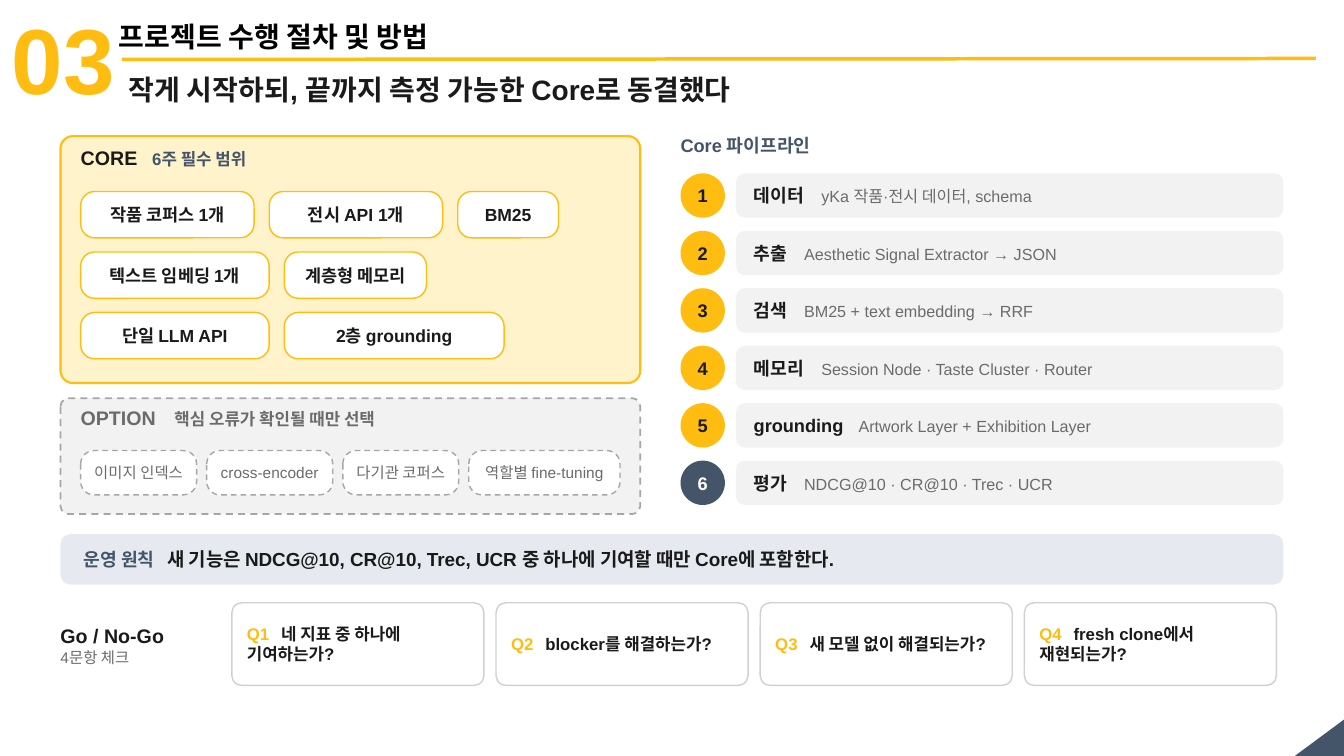
from dataclasses import dataclass

from lxml import etree
from pptx import Presentation
from pptx.dml.color import RGBColor
from pptx.enum import dml, shapes, text
from pptx.oxml import ns
from pptx.util import Inches, Pt


@dataclass(frozen=True)
class Theme:
    font: str = "Arial"
    # Colours
    gold: str = "FFBD11"
    cream: str = "FFF3CC"
    navy: str = "445569"
    mist: str = "E6EAF0"
    ink: str = "1A1A1A"
    black: str = "000000"
    white: str = "FFFFFF"
    gray: str = "6B6B6B"
    pale: str = "F2F2F2"
    dash: str = "A6A6A6"
    edge: str = "D0D0D0"
    # Type sizes
    number: float = 66
    title: float = 20
    heading: float = 14
    principle: float = 13.5
    label: float = 13
    chip: float = 12.5
    note: float = 12
    detail: float = 11.5
    small: float = 11


THEME = Theme()
ROUND = shapes.MSO_SHAPE.ROUNDED_RECTANGLE
LEFT, CENTER = text.PP_ALIGN.LEFT, text.PP_ALIGN.CENTER
TOP, MIDDLE = text.MSO_ANCHOR.TOP, text.MSO_ANCHOR.MIDDLE

CORE_ROWS = [
    [("작품 코퍼스 1개", 1.72), ("전시 API 1개", 1.72), ("BM25", 1)],
    [("텍스트 임베딩 1개", 1.87), ("계층형 메모리", 1.41)],
    [("단일 LLM API", 1.87), ("2층 grounding", 2.18)],
]
OPTIONS = [("이미지 인덱스", 1.15), ("cross-encoder", 1.25),
           ("다기관 코퍼스", 1.15), ("역할별 fine-tuning", 1.5)]
# Step name, detail, tab position of the detail
STEPS = [
    ("데이터", "yKa 작품·전시 데이터, schema", 0.67),
    ("추출", "Aesthetic Signal Extractor → JSON", 0.5),
    ("검색", "BM25 + text embedding → RRF", 0.5),
    ("메모리", "Session Node · Taste Cluster · Router", 0.67),
    ("grounding", "Artwork Layer + Exhibition Layer", 1.04),
    ("평가", "NDCG@10 · CR@10 · Trec · UCR", 0.5),
]
QUESTIONS = ["네 지표 중 하나에 기여하는가?", "blocker를 해결하는가?",
             "새 모델 없이 해결되는가?", "fresh clone에서 재현되는가?"]


def rgb(color):
    return RGBColor.from_string(color)


def set_text(box, paras, align=LEFT, anchor=MIDDLE, inset=(0, 0.03), tab=None):
    """Fill a box; each paragraph is a list of (words, size, colour, bold)."""
    frame = box.text_frame
    frame.word_wrap = True
    frame.vertical_anchor = anchor
    frame.margin_left = frame.margin_right = Inches(inset[0])
    frame.margin_top = frame.margin_bottom = Inches(inset[1])
    for index, spans in enumerate(paras):
        para = frame.add_paragraph() if index else frame.paragraphs[0]
        para.alignment = align
        if tab:
            stops = etree.SubElement(para._p.get_or_add_pPr(), ns.qn("a:tabLst"))
            etree.SubElement(stops, ns.qn("a:tab"), pos=str(Inches(tab)), algn="l")
        for words, size, color, bold in spans:
            span = para.add_run()
            span.text = words
            span.font.name = THEME.font
            span.font.size = Pt(size)
            span.font.bold = bold
            span.font.color.rgb = rgb(color)


def add_label(page, at, paras, **layout):
    box = page.shapes.add_textbox(*map(Inches, at))
    set_text(box, paras, **layout)


def add_block(page, kind, at, fill, line=None, width=1, dashed=False, corner=None):
    block = page.shapes.add_shape(kind, *map(Inches, at))
    block.shadow.inherit = False
    block.fill.solid()
    block.fill.fore_color.rgb = rgb(fill)
    if corner is not None:
        block.adjustments[0] = corner
    if line:
        block.line.color.rgb = rgb(line)
        block.line.width = Pt(width)
        if dashed:
            block.line.dash_style = dml.MSO_LINE.DASH
    else:
        block.line.fill.background()
    return block


def add_chips(page, chips, top, height, gap, line, size, color, bold, dashed=False):
    left = 0.8
    for words, width in chips:
        chip = add_block(page, ROUND, (left, top, width, height), THEME.white,
                         line, dashed=dashed, corner=0.3)
        set_text(chip, [[(words, size, color, bold)]], CENTER, inset=(0.04, 0.03))
        left += width + gap


def add_header(page):
    t = THEME
    corner = add_block(page, shapes.MSO_SHAPE.RIGHT_TRIANGLE,
                       (12.9, 7.07, 0.37, 0.5), t.navy)
    corner.rotation = 270
    layout = {"anchor": TOP, "inset": (0.1, 0.05)}
    add_label(page, (0.02, -0.03, 1.27, 1.21),
              [[("03", t.number, t.gold, True)]], **layout)
    add_label(page, (1.08, 0.14, 7, 0.44),
              [[("프로젝트 수행 절차 및 방법", t.title, t.black, True)]], **layout)
    rule = page.shapes.add_connector(shapes.MSO_CONNECTOR.STRAIGHT, Inches(1.21),
                                     Inches(0.59), Inches(13.05), Inches(0.58))
    rule.line.color.rgb = rgb(t.gold)
    rule.line.width = Pt(2.5)
    etree.SubElement(rule._element.spPr, ns.qn("a:effectLst"))
    add_label(page, (1.18, 0.67, 11.9, 0.34),
              [[("작게 시작하되, 끝까지 측정 가능한 Core로 동결했다", t.title, t.ink, True)]],
              **layout)


def add_scope(page):
    t = THEME
    # Core scope
    add_block(page, ROUND, (0.6, 1.35, 5.75, 2.45), t.cream, t.gold, 1.5, corner=0.05)
    add_label(page, (0.8, 1.42, 5.4, 0.35),
              [[("CORE\t", t.heading, t.ink, True),
                ("6주 필수 범위", t.note, t.navy, True)]], anchor=TOP, tab=0.71)
    for row, chips in enumerate(CORE_ROWS):
        add_chips(page, chips, 1.9 + 0.6 * row, 0.46, 0.15, t.gold, t.chip, t.ink, True)
    # Optional scope
    add_block(page, ROUND, (0.6, 3.95, 5.75, 1.15), t.pale, t.dash, 1.25, True, 0.07)
    add_label(page, (0.8, 4, 5.4, 0.35),
              [[("OPTION\t", t.heading, t.gray, True),
                ("핵심 오류가 확인될 때만 선택", t.note, t.gray, True)]],
              anchor=TOP, tab=0.93)
    add_chips(page, OPTIONS, 4.47, 0.44, 0.1, t.dash, t.small, t.gray, False, True)


def add_pipeline(page):
    t = THEME
    add_label(page, (6.75, 1.3, 5.9, 0.35),
              [[("Core 파이프라인", t.label, t.navy, True)]], anchor=TOP)
    for index, (name, detail, tab) in enumerate(STEPS):
        top = 1.72 + 0.57 * index
        last = index == len(STEPS) - 1
        badge = add_block(page, shapes.MSO_SHAPE.OVAL, (6.75, top, 0.44, 0.44),
                          t.navy if last else t.gold)
        set_text(badge, [[(str(index + 1), t.label, t.white if last else t.ink, True)]],
                 CENTER)
        bar = add_block(page, ROUND, (7.3, top, 5.43, 0.44), t.pale, corner=0.2)
        set_text(bar, [[(name + "\t", t.label, t.ink, True),
                        (detail, t.detail, t.gray, False)]],
                 inset=(0.15, 0.03), tab=tab)


def add_checks(page):
    t = THEME
    # Operating principle
    banner = add_block(page, ROUND, (0.6, 5.3, 12.13, 0.5), t.mist, corner=0.2)
    rule = "새 기능은 NDCG@10, CR@10, Trec, UCR 중 하나에 기여할 때만 Core에 포함한다."
    set_text(banner, [[("운영 원칙\t", t.label, t.navy, True),
                       (rule, t.principle, t.ink, True)]], inset=(0.2, 0.03), tab=0.83)
    # Go / No-Go questions
    add_label(page, (0.6, 6, 1.7, 0.8),
              [[("Go / No-Go", t.heading, t.ink, True)],
               [("4문항 체크", t.small, t.gray, False)]])
    for index, question in enumerate(QUESTIONS):
        card = add_block(page, ROUND, (2.3 + 2.62 * index, 5.98, 2.5, 0.82),
                         t.white, t.edge, corner=0.12)
        set_text(card, [[(f"Q{index + 1}\t", t.note, t.gold, True),
                         (question, t.note, t.ink, True)]], inset=(0.12, 0.03), tab=0.34)


def main():
    deck = Presentation()
    deck.slide_width, deck.slide_height = Inches(13.33), Inches(7.5)
    page = deck.slides.add_slide(deck.slide_layouts[6])
    add_header(page)
    add_scope(page)
    add_pipeline(page)
    add_checks(page)
    deck.save("out.pptx")


if __name__ == "__main__":
    main()
